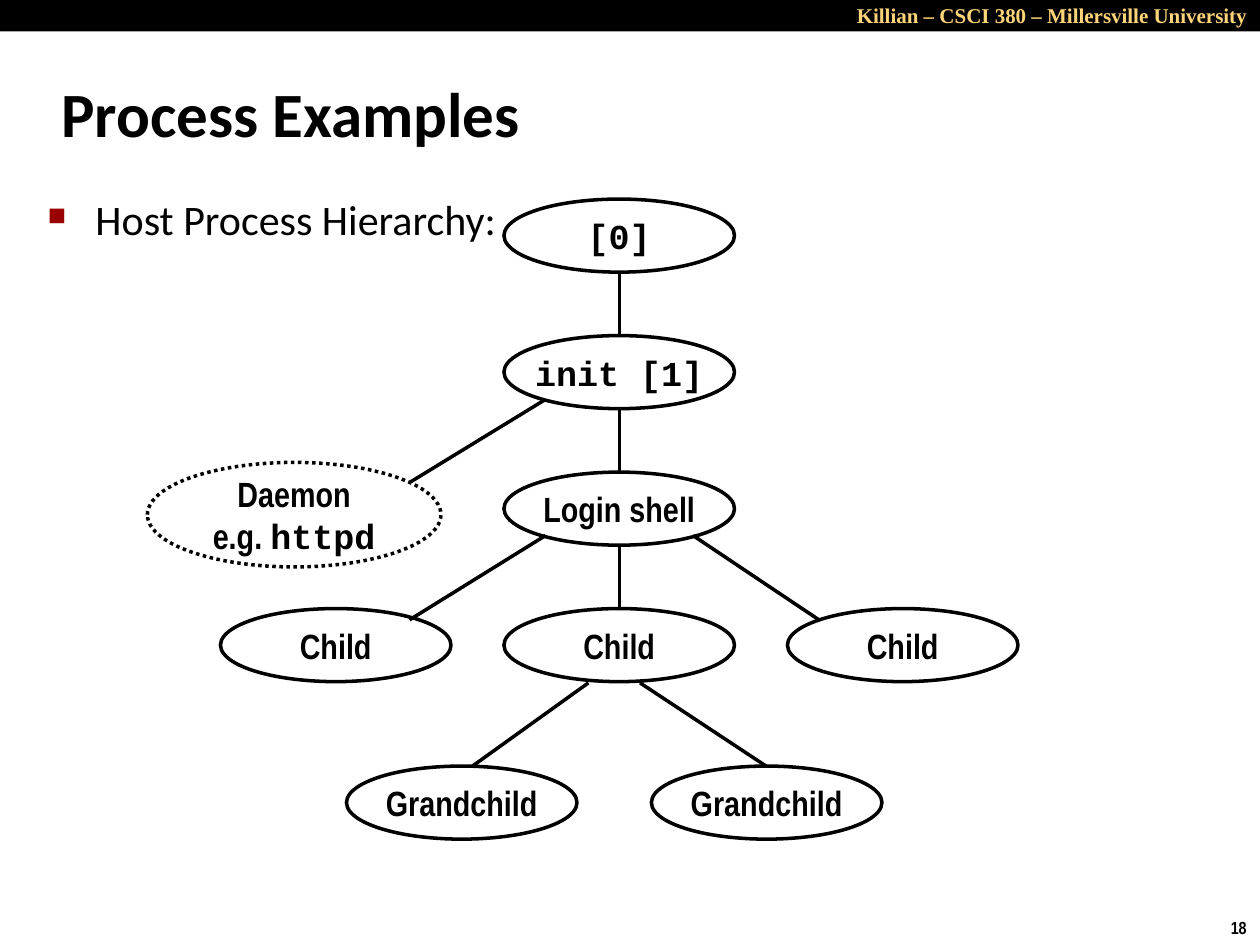
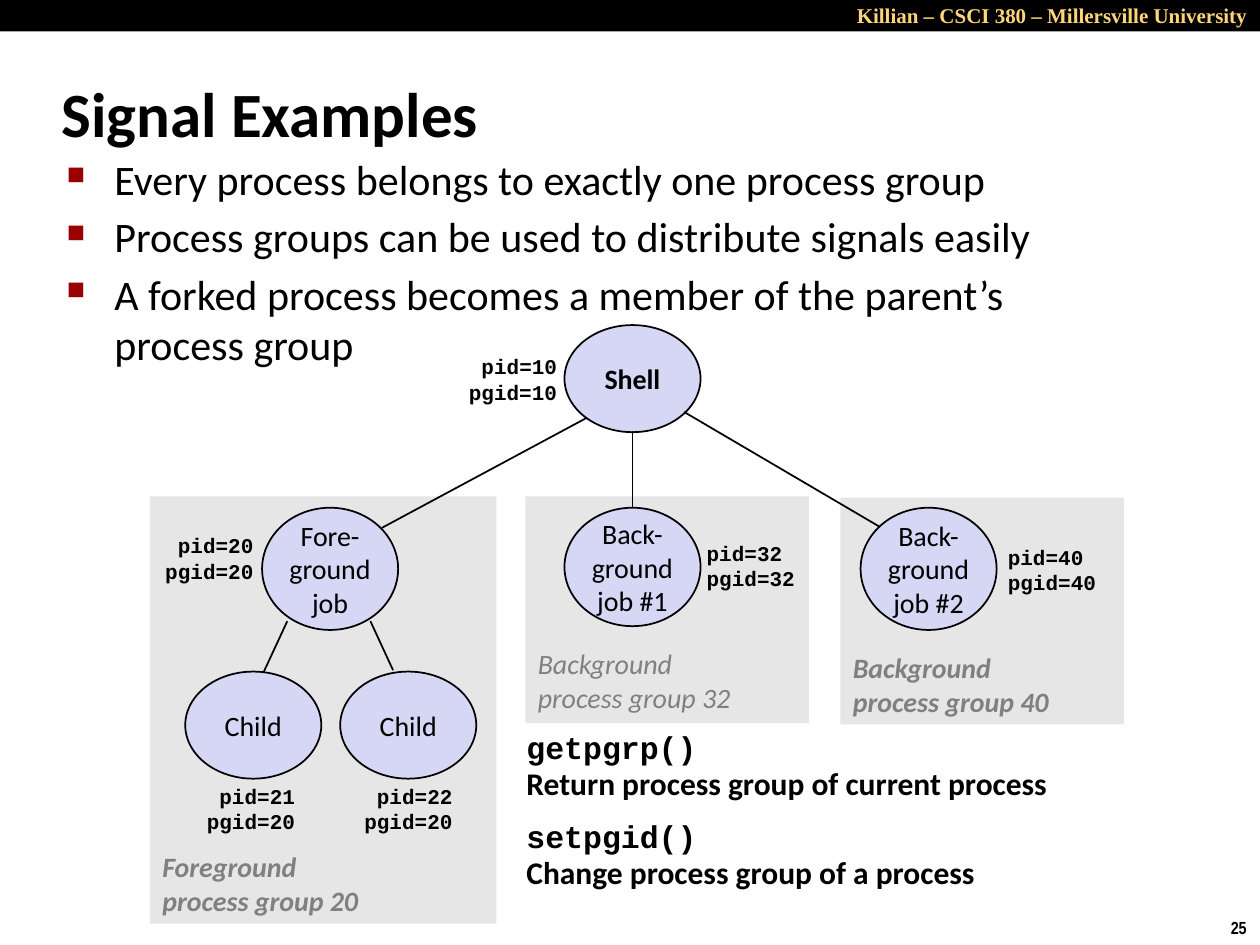
from dataclasses import dataclass, field, replace
from typing import Any, NamedTuple, Optional, Union

from lxml.etree import SubElement
from pptx import Presentation
from pptx.dml.color import RGBColor as Rgb
from pptx.enum.dml import MSO_LINE as Dash
from pptx.enum.shapes import MSO_CONNECTOR as Conn, MSO_SHAPE as Form
from pptx.enum.text import MSO_ANCHOR as Anchor, MSO_AUTO_SIZE as Fit, PP_ALIGN as Align
from pptx.oxml.ns import qn
from pptx.util import Inches, Pt


@dataclass(frozen=True)
class Type:
    font: str
    size: int
    color: str = "000000"
    bold: bool = False
    italic: bool = False

    def values(self) -> dict[str, Any]:
        return {"name": self.font, "size": Pt(self.size),
                "bold": self.bold, "italic": self.italic}


@dataclass(frozen=True)
class Theme:
    ink: str = "000000"
    paper: str = "FFFFFF"
    bullet: str = "990000"
    panel: str = "E6E6E6"
    bubble: str = "D6D6F5"
    title: Type = Type("Calibri", 36, bold=True)
    body: Type = Type("Calibri", 24)
    head: Type = Type("Times New Roman", 12, "FFD579", True)
    page: Type = Type("Arial Narrow", 10, bold=True)
    tree: Type = Type("Arial Narrow", 20, bold=True)
    code: Type = Type("Courier New", 20, bold=True)
    job: Type = Type("Calibri", 16)
    pid: Type = Type("Courier New", 12, bold=True)
    group: Type = Type("Calibri", 16, "808080", True, True)
    call: Type = Type("Courier New", 18, bold=True)
    note: Type = Type("Calibri", 18, bold=True)


THEME = Theme()


class Box(NamedTuple):
    left: float
    top: float
    width: float
    height: float

    def emu(self) -> list[int]:
        return [Inches(v) for v in self]


class Span(NamedTuple):
    text: str
    type: Type


class Link(NamedTuple):
    x1: float
    y1: float
    x2: float
    y2: float


Line = Union[str, list[Span]]


@dataclass
class Node:
    box: Box
    lines: list[Line]
    type: Type
    fill: str = THEME.paper
    weight: float = 2
    dash: Optional[Dash] = None


@dataclass
class Label:
    box: Box
    lines: list[Line]
    type: Type
    para: dict[str, Any] = field(default_factory=dict)
    frame: dict[str, Any] = field(default_factory=dict)
    gap: float = 0
    bullets: bool = False


def put(target: Any, values: dict[str, Any]) -> None:
    for name, value in values.items():
        setattr(target, name, value)


def mark(para: Any) -> None:
    """Give a paragraph the small square bullet and its hanging indent."""
    props = para._p.get_or_add_pPr()
    props.set("marL", str(Inches(0.38)))
    props.set("indent", str(-Inches(0.38)))
    color = SubElement(props, qn("a:buClr"))
    SubElement(color, qn("a:srgbClr"), val=THEME.bullet)
    SubElement(props, qn("a:buSzPct"), val="60000")
    SubElement(props, qn("a:buChar"), char="■")


def write(frame: Any, lines: list[Line], kind: Type, para: dict[str, Any],
          gap: float = 0, bullets: bool = False) -> None:
    for i, line in enumerate(lines):
        item = frame.add_paragraph() if i else frame.paragraphs[0]
        if bullets:
            mark(item)
        put(item, para)
        if i and gap:
            item.space_before = Pt(gap)
        spans = [Span(line, kind)] if isinstance(line, str) else line
        for text, style in spans:
            run = item.add_run()
            run.text = text.rstrip("\n")
            put(run.font, style.values())
            run.font.color.rgb = Rgb.from_string(style.color)
            if text.endswith("\n"):
                item.add_line_break()


def add_label(slide: Any, label: Label) -> None:
    frame = slide.shapes.add_textbox(*label.box.emu()).text_frame
    put(frame, {"word_wrap": True, **label.frame})
    write(frame, label.lines, label.type, label.para, label.gap, label.bullets)


def add_form(slide: Any, form: Form, box: Box, fill: str) -> Any:
    shape = slide.shapes.add_shape(form, *box.emu())
    shape.shadow.inherit = False
    shape.fill.solid()
    shape.fill.fore_color.rgb = Rgb.from_string(fill)
    shape.line.fill.background()
    return shape


def add_node(slide: Any, node: Node) -> None:
    shape = add_form(slide, Form.OVAL, node.box, node.fill)
    shape.line.color.rgb = Rgb.from_string(THEME.ink)
    put(shape.line, {"width": Pt(node.weight), "dash_style": node.dash})
    put(shape.text_frame, {"word_wrap": False, "vertical_anchor": Anchor.MIDDLE})
    write(shape.text_frame, node.lines, node.type, {"alignment": Align.CENTER})


def add_link(slide: Any, link: Link, weight: float) -> None:
    wire = slide.shapes.add_connector(Conn.STRAIGHT, *[Inches(v) for v in link])
    wire.line.color.rgb = Rgb.from_string(THEME.ink)
    wire.line.width = Pt(weight)
    SubElement(wire._element.spPr, qn("a:effectLst"))


def add_page(deck: Any, title: str, number: int) -> Any:
    """Start a slide with the top band, the title and the page number."""
    slide = deck.slides.add_slide(deck.slide_layouts[6])
    add_form(slide, Form.RECTANGLE, Box(0, 0, 10, 0.25), THEME.ink)
    for label in (
        Label(Box(5.83, -0.03, 4.17, 0.3), ["Killian – CSCI 380 – Millersville University"],
              THEME.head, {"alignment": Align.RIGHT}),
        Label(Box(9.67, 7.23, 0.34, 0.27), [str(number)], THEME.page,
              frame={"word_wrap": False}),
        Label(Box(0.39, 0.48, 8.3, 0.83), [title], THEME.title,
              frame={"vertical_anchor": Anchor.MIDDLE}),
    ):
        add_label(slide, label)
    return slide


def add_points(slide: Any, left: float, top: float, lines: list[Line]) -> None:
    add_label(slide, Label(Box(left, top, 8.64, 5.44), lines, THEME.body,
                           gap=4, bullets=True))


def draw_tree(deck: Any) -> None:
    slide = add_page(deck, "Process Examples", 18)
    add_points(slide, 0.28, 1.49, ["Host Process Hierarchy:"])

    wide, high, mid, step = 1.83, 0.58, 4, 2.25
    rows = [1.58 + 13 / 12 * i for i in range(4)]
    spots = [
        (mid, rows[0], "[0]", THEME.code),
        (mid, rows[1], "init [1]", THEME.code),
        (mid, rows[2], "Login shell", THEME.tree),
        *[(mid + step * k, rows[3], "Child", THEME.tree) for k in (-1, 0, 1)],
        *[(x, 6.08, "Grandchild", THEME.tree) for x in (2.75, 5.17)],
    ]
    daemon = Node(Box(1.17, 3.67, 2.33, 0.83),
                  ["Daemon", [Span("e.g. ", THEME.tree), Span("httpd", THEME.code)]],
                  THEME.tree, dash=Dash.ROUND_DOT)

    add_link(slide, Link(4.33, 3.17, 3.25, 3.83), 2)
    add_node(slide, daemon)
    for x, y, text, kind in spots:
        add_node(slide, Node(Box(x, y, wide, high), [text], kind))

    stem = mid + wide / 2
    links = [Link(stem, a + high, stem, b) for a, b in zip(rows, rows[1:])]
    links += [Link(4.33, 4.25, 3.25, 4.92), Link(5.5, 4.25, 6.5, 4.92),
              Link(4.67, 5.42, 3.75, 6.08), Link(5.08, 5.42, 6.08, 6.08)]
    for link in links:
        add_link(slide, link, 2)


def draw_groups(deck: Any) -> None:
    slide = add_page(deck, "Signal Examples", 25)
    add_points(slide, 0.43, 1.17, [
        "Every process belongs to exactly one process group",
        "Process groups can be used to distribute signals easily",
        "A forked process becomes a member of the parent’s process group",
    ])

    for box in (Box(6.67, 3.95, 2.25, 1.8), Box(4.17, 3.94, 2.25, 1.8),
                Box(1.19, 3.94, 2.75, 3.39)):
        add_form(slide, Form.RECTANGLE, box, THEME.panel)

    strong = replace(THEME.job, bold=True)
    for x, y, high, lines, kind in (
        (2.08, 4.03, 0.97, ["Fore-", "ground", "job"], THEME.job),
        (4.48, 4.03, 0.94, ["Back-", "ground", "job #1"], THEME.job),
        (6.83, 4.03, 0.97, ["Back-", "ground", "job #2"], THEME.job),
        (4.48, 2.58, 0.85, ["Shell"], strong),
        (1.47, 5.33, 0.85, ["Child"], THEME.job),
        (2.7, 5.33, 0.85, ["Child"], THEME.job),
    ):
        add_node(slide, Node(Box(x, y, 1.08, high), lines, kind, THEME.bubble, 1))

    for link in (Link(2.28, 4.93, 2.09, 5.34), Link(2.94, 4.93, 3.12, 5.32),
                 Link(5.02, 3.42, 5.02, 4.03), Link(4.65, 3.32, 3.03, 4.19),
                 Link(5.43, 3.27, 6.98, 4.18)):
        add_link(slide, link, 1)

    snug = {"word_wrap": False, "vertical_anchor": Anchor.MIDDLE,
            "auto_size": Fit.SHAPE_TO_FIT_TEXT}
    for x, y, pid, pgid, side in (
        (3.61, 2.76, 10, 10, Align.RIGHT),
        (1.2, 4.18, 20, 20, Align.RIGHT),
        (5.51, 4.24, 32, 32, Align.LEFT),
        (7.9, 4.27, 40, 40, Align.LEFT),
        (1.53, 6.17, 21, 20, Align.RIGHT),
        (2.78, 6.17, 22, 20, Align.RIGHT),
    ):
        add_label(slide, Label(Box(x, y, 0.91, 0.5), [f"pid={pid}", f"pgid={pgid}"],
                               THEME.pid, {"alignment": side}, snug))

    light = replace(THEME.group, bold=False)
    for x, y, wide, name, pgid, kind in (
        (1.19, 6.69, 1.93, "Foreground", 20, THEME.group),
        (4.17, 5.08, 1.78, "Background", 32, light),
        (6.67, 5.11, 1.78, "Background", 40, THEME.group),
    ):
        add_label(slide, Label(Box(x, y, wide, 0.64), [name, f"process group {pgid}"],
                               kind, frame=snug))

    calls = [("getpgrp()", "Return process group of current process"),
             ("setpgid()", "Change process group of a process")]
    add_label(slide, Label(
        Box(4.08, 5.75, 4.5, 1.5),
        [[Span(name + "\n", THEME.call), Span(text, THEME.note)] for name, text in calls],
        THEME.note, {"line_spacing": 0.95}, gap=10))


def main() -> None:
    deck = Presentation()
    put(deck, {"slide_width": Inches(10), "slide_height": Inches(7.5)})
    draw_tree(deck)
    draw_groups(deck)
    deck.save("out.pptx")


if __name__ == "__main__":
    main()
